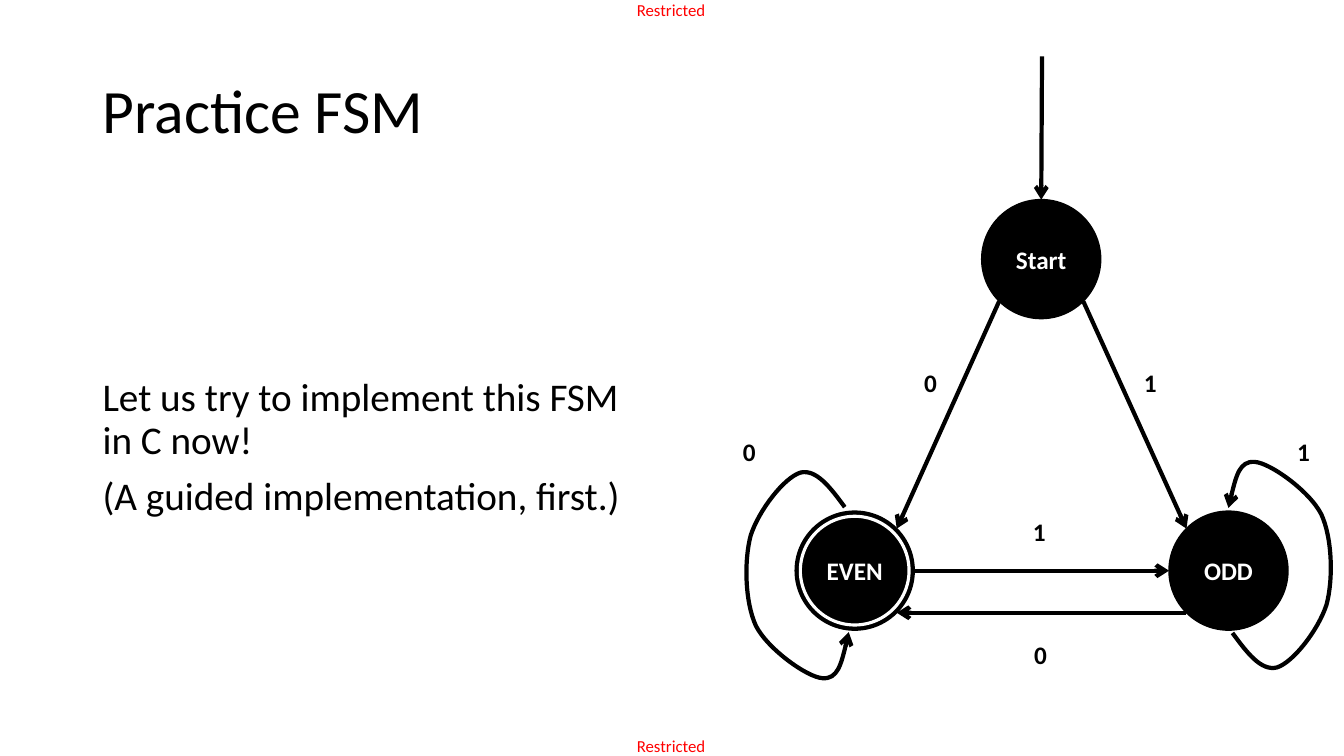
import dataclasses

import pptx
import pptx.dml.color
import pptx.enum.shapes
import pptx.enum.text
import pptx.oxml.xmlchemy
import pptx.util

Cm = pptx.util.Cm
Pt = pptx.util.Pt
Align = pptx.enum.text.PP_ALIGN
Anchor = pptx.enum.text.MSO_ANCHOR


@dataclasses.dataclass
class Theme:
    font: str = "Calibri"
    ink: str = "000000"
    paper: str = "FFFFFF"
    notice: str = "FF0000"
    title_size: float = 44
    body_size: float = 28
    state_size: float = 18
    notice_size: float = 12
    arrow_width: float = 3
    state_outline: float = 1
    ring_width: float = 2.25


NO_INSETS = dict.fromkeys(("margin_left", "margin_top", "margin_right", "margin_bottom"), 0)


def apply(target, values):
    for name, value in values.items():
        setattr(target, name, value)


class FsmSlide:
    def __init__(self, presentation, theme):
        self.theme = theme
        self.slide = presentation.slides.add_slide(presentation.slide_layouts[1])
        self.shapes = self.slide.shapes

    def add_words(self, paragraph, text, size, color, bold=False, **layout):
        run = paragraph.add_run()
        run.text = text
        apply(run.font, {"name": self.theme.font, "size": Pt(size), "bold": bold})
        run.font.color.rgb = pptx.dml.color.RGBColor.from_string(color)
        apply(paragraph, layout)

    def outline(self, shape, color, width):
        shape.line.color.rgb = pptx.dml.color.RGBColor.from_string(color)
        shape.line.width = Pt(width)

    def place(self, shape, left, top, width, height):
        apply(shape, {"left": Cm(left), "top": Cm(top), "width": Cm(width), "height": Cm(height)})

    def title(self, text, *box):
        title = self.shapes.title
        self.place(title, *box)
        apply(title.text_frame, {"vertical_anchor": Anchor.MIDDLE, "word_wrap": True})
        self.add_words(title.text_frame.paragraphs[0], text, self.theme.title_size, self.theme.ink,
                       alignment=Align.LEFT, line_spacing=0.9)

    def body(self, texts, *box):
        body = self.slide.placeholders[1]
        self.place(body, *box)
        frame = body.text_frame
        apply(frame, {"vertical_anchor": Anchor.TOP, "word_wrap": True,
                      "auto_size": pptx.enum.text.MSO_AUTO_SIZE.NONE})
        for index, text in enumerate(texts):
            paragraph = frame.add_paragraph() if index else frame.paragraphs[0]
            self.add_words(paragraph, text, self.theme.body_size, self.theme.ink,
                           line_spacing=0.9, space_before=Pt(10 if index else 0))
            properties = paragraph._p.get_or_add_pPr()
            properties.set("marL", "0")
            properties.set("indent", "0")
            properties.append(pptx.oxml.xmlchemy.OxmlElement("a:buNone"))

    def notice(self, text, left, top):
        frame = self.shapes.add_textbox(Cm(left), Cm(top), Cm(1.85), Cm(0.51)).text_frame
        apply(frame, {**NO_INSETS, "word_wrap": False})
        self.add_words(frame.paragraphs[0], text, self.theme.notice_size, self.theme.notice)

    def input_label(self, text, left, top):
        frame = self.shapes.add_textbox(Cm(left), Cm(top), Cm(0.89), Cm(1.02)).text_frame
        frame.word_wrap = True
        self.add_words(frame.paragraphs[0], text, self.theme.state_size, self.theme.ink, bold=True)

    def state(self, name, center, radius, line_color, line_width):
        x, y = center
        state = self.shapes.add_shape(pptx.enum.shapes.MSO_SHAPE.OVAL, Cm(x - radius),
                                      Cm(y - radius), Cm(2 * radius), Cm(2 * radius))
        state.shadow.inherit = False
        state.fill.solid()
        state.fill.fore_color.rgb = pptx.dml.color.RGBColor.from_string(self.theme.ink)
        self.outline(state, line_color, line_width)
        if name:
            apply(state.text_frame, {**NO_INSETS, "word_wrap": False,
                                     "vertical_anchor": Anchor.MIDDLE})
            self.add_words(state.text_frame.paragraphs[0], name, self.theme.state_size,
                           self.theme.paper, bold=True, alignment=Align.CENTER)
        return state

    def arrowhead(self, shape):
        head = pptx.oxml.xmlchemy.OxmlElement("a:tailEnd")
        head.set("type", "arrow")
        shape._element.xpath("./p:spPr/a:ln")[0].append(head)

    def transition(self, begin, end):
        arrow = self.shapes.add_connector(pptx.enum.shapes.MSO_CONNECTOR.STRAIGHT,
                                          *(Cm(value) for value in (*begin, *end)))
        self.outline(arrow, self.theme.ink, self.theme.arrow_width)
        self.arrowhead(arrow)
        arrow._element.spPr.append(pptx.oxml.xmlchemy.OxmlElement("a:effectLst"))
        return arrow

    def self_loop(self, points):
        controls = [(Cm(x), Cm(y)) for x, y in points]
        builder = self.shapes.build_freeform(*controls[0])
        builder.add_line_segments(controls[1:], close=False)
        loop = builder.convert_to_shape()
        loop.shadow.inherit = False
        loop.fill.background()
        self.outline(loop, self.theme.ink, self.theme.arrow_width)
        self.arrowhead(loop)
        route = loop._element.xpath(".//a:path")[0]
        segments = list(route)[1:]
        for first in range(0, len(segments), 3):
            curve = pptx.oxml.xmlchemy.OxmlElement("a:cubicBezTo")
            for segment in segments[first:first + 3]:
                curve.append(segment[0])
                route.remove(segment)
            route.append(curve)


def main():
    presentation = pptx.Presentation()
    apply(presentation, {"slide_width": Cm(33.87), "slide_height": Cm(19.05)})
    theme = Theme()
    fsm = FsmSlide(presentation, theme)

    for top in (0, 18.54):
        fsm.notice("Restricted", 16.05, top)
    fsm.title("Practice FSM", 2.33, 1.02, 29.21, 3.68)
    fsm.body(["Let us try to implement this FSM in C now!", "(A guided implementation, first.)"],
             2.33, 9.4, 14.4, 9.65)

    radius, diagonal = 1.5, 1.06
    start, even, odd = (26.24, 6.53), (21.54, 14.38), (30.96, 14.38)

    def rim(center, across, down):
        return center[0] + across, center[1] + down

    start_state = fsm.state("Start", start, radius, theme.ink, theme.state_outline)
    fsm.state("", even, radius, theme.ink, theme.state_outline)
    fsm.state("ODD", odd, radius, theme.ink, theme.state_outline)

    entry = fsm.transition((26.26, 1.42), rim(start, 0, -radius))
    entry.end_connect(start_state, 0)
    for begin, end in (
        (rim(start, diagonal, diagonal), rim(odd, -diagonal, -diagonal)),
        (rim(start, -diagonal, diagonal), rim(even, diagonal, -diagonal)),
        (rim(odd, -diagonal, diagonal), rim(even, diagonal, diagonal)),
        (rim(even, radius, 0), rim(odd, -radius, 0)),
    ):
        fsm.transition(begin, end)

    even_loop = [
        (21.29, 12.78), (20.93, 12.29), (20.57, 11.81), (20.17, 11.91),
        (19.76, 12.04), (19.13, 12.85), (18.92, 13.49), (18.75, 14.12),
        (18.77, 15.16), (19.05, 15.77), (19.35, 16.36), (20.35, 17.07),
        (20.73, 17.09), (21.11, 17.12), (21.26, 16.54), (21.39, 15.93),
    ]
    odd_loop = [(52.35 - x, 28.73 - y) for x, y in even_loop]
    for loop in (even_loop, odd_loop):
        fsm.self_loop(loop)

    for text, left, top in (
        ("1", 28.58, 9.14), ("0", 23.04, 9.14),
        ("0", 25.81, 15.98), ("1", 25.78, 12.88),
        ("1", 32.44, 10.87), ("0", 18.47, 10.87),
    ):
        fsm.input_label(text, left, top)

    fsm.state("EVEN", even, 1.37, theme.paper, theme.ring_width)
    presentation.save("out.pptx")


if __name__ == "__main__":
    main()
